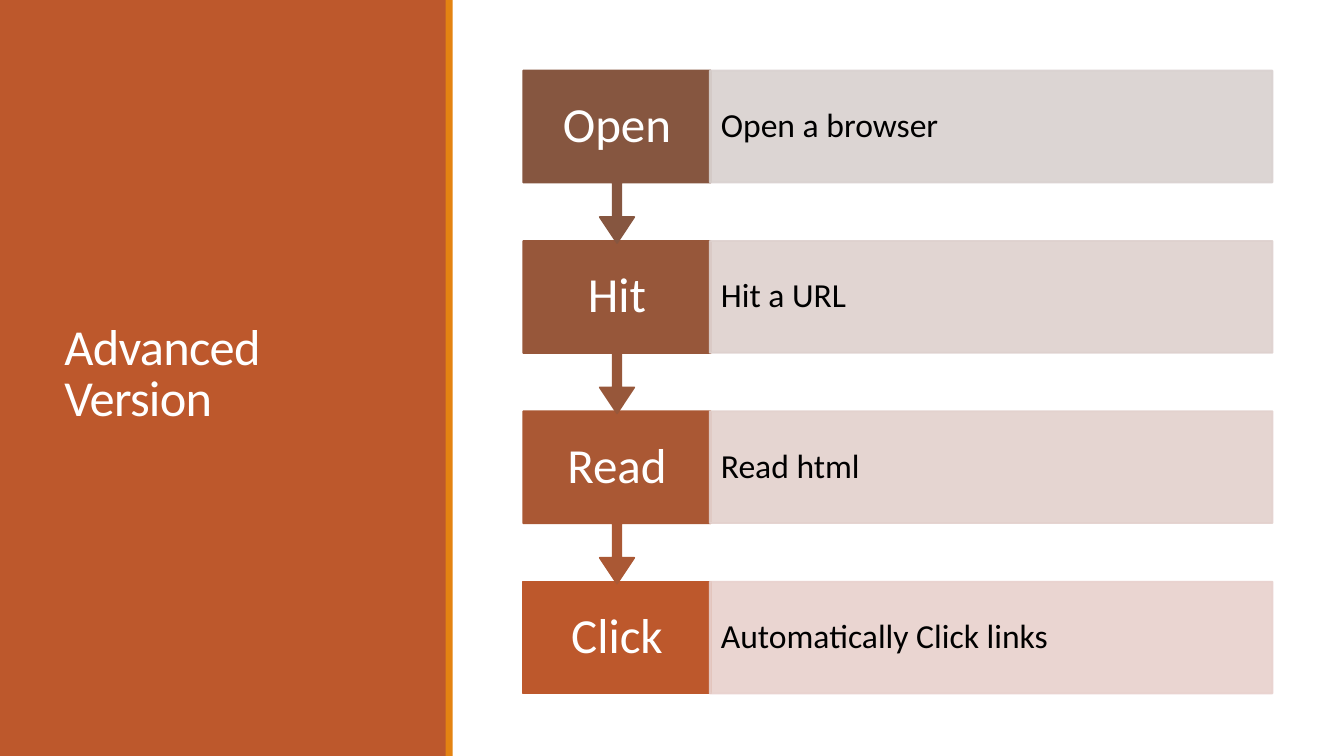
from pptx import Presentation
from pptx.dml.color import RGBColor
from pptx.enum.shapes import MSO_SHAPE
from pptx.enum.text import MSO_ANCHOR, PP_ALIGN
from pptx.oxml.ns import qn
from pptx.util import Inches, Pt
from lxml.etree import SubElement

TITLE = "Advanced Version"
# label, description, label colour, description colour
STEPS = [
    ("Open", "Open a browser", "865640", "D9D1CF"),
    ("Hit", "Hit a URL", "97573A", "DED1CE"),
    ("Read", "Read html", "AA5834", "E3D1CD"),
    ("Click", "Automatically Click links", "BD582C", "E8D1CD"),
]
THEME = {
    "font": "Calibri", "panel": "BD582C", "stripe": "E48312",
    "light": "FFFFFF", "dark": "000000",
    "title": 36, "label": 35, "description": 24,
}
LABEL_X, LABEL_W = 5.19, 1.86
DESC_X, DESC_W = 7.04, 5.58
TOP, PITCH, BOX_H, CALLOUT_H = 0.7, 1.69, 1.11, 1.71
ARROW = (0.05, 0.1, 0.15, 0.65)  # shaft, head half-width, head length, box share


def add_block(s, kind, box, color, outlined=False, opacity=None):
    sp = s.shapes.add_shape(kind, *map(Inches, box))
    sp.shadow.inherit = False
    sp.fill.solid()
    sp.fill.fore_color.rgb = RGBColor.from_string(color)
    if outlined:
        sp.line.color.rgb = RGBColor.from_string(color)
        sp.line.width = Pt(1.25)
    else:
        sp.line.fill.background()
    if opacity:
        for clr in sp._element.spPr.iter(qn("a:srgbClr")):
            SubElement(clr, qn("a:alpha")).set("val", str(opacity * 1000))
    return sp


def write(sp, text, size, color, align, spacing, inset_x, inset_y):
    tf = sp.text_frame
    tf.word_wrap = True
    tf.vertical_anchor = MSO_ANCHOR.MIDDLE
    tf.margin_left = tf.margin_right = Inches(inset_x)
    tf.margin_top = tf.margin_bottom = Inches(inset_y)
    p = tf.paragraphs[0]
    p.text = text
    p.alignment = align
    p.line_spacing = spacing
    p.font.name = THEME["font"]
    p.font.size = Pt(THEME[size])
    p.font.color.rgb = RGBColor.from_string(THEME[color])
    return p


def add_title_panel(s):
    add_block(s, MSO_SHAPE.RECTANGLE, (0, 0, 4.43, 7.5), THEME["panel"])
    title = s.shapes.add_textbox(*map(Inches, (0.54, 0.57, 3.37, 6.31)))
    p = write(title, TITLE, "title", "light", PP_ALIGN.LEFT, 0.85, 0.1, 0.05)
    p.runs[0].font._element.set("spc", "-50")
    add_block(s, MSO_SHAPE.RECTANGLE, (4.42, 0, 0.07, 7.5), THEME["stripe"])


def add_step(s, row):
    label, description, label_color, desc_color = STEPS[row]
    y = TOP + row * PITCH
    last = row == len(STEPS) - 1
    kind = MSO_SHAPE.RECTANGLE if last else MSO_SHAPE.DOWN_ARROW_CALLOUT
    height = BOX_H if last else CALLOUT_H
    sp = add_block(s, kind, (LABEL_X, y, LABEL_W, height), label_color, True)
    if not last:
        for i, value in enumerate(ARROW):
            sp.adjustments[i] = value
    write(sp, label, "label", "light", PP_ALIGN.CENTER, 0.9, 0.13, 0.27)

    sp = add_block(s, MSO_SHAPE.RECTANGLE, (DESC_X, y, DESC_W, BOX_H),
                   desc_color, True, opacity=90)
    write(sp, description, "description", "dark", PP_ALIGN.LEFT, 0.9, 0.11, 0.33)


def main():
    prs = Presentation()
    prs.slide_width, prs.slide_height = Inches(13.33), Inches(7.5)
    s = prs.slides.add_slide(prs.slide_layouts[6])
    add_title_panel(s)
    # Bottom row first, so that each arrow tip lies over the box below it.
    for row in reversed(range(len(STEPS))):
        add_step(s, row)
    prs.save("out.pptx")


if __name__ == "__main__":
    main()
